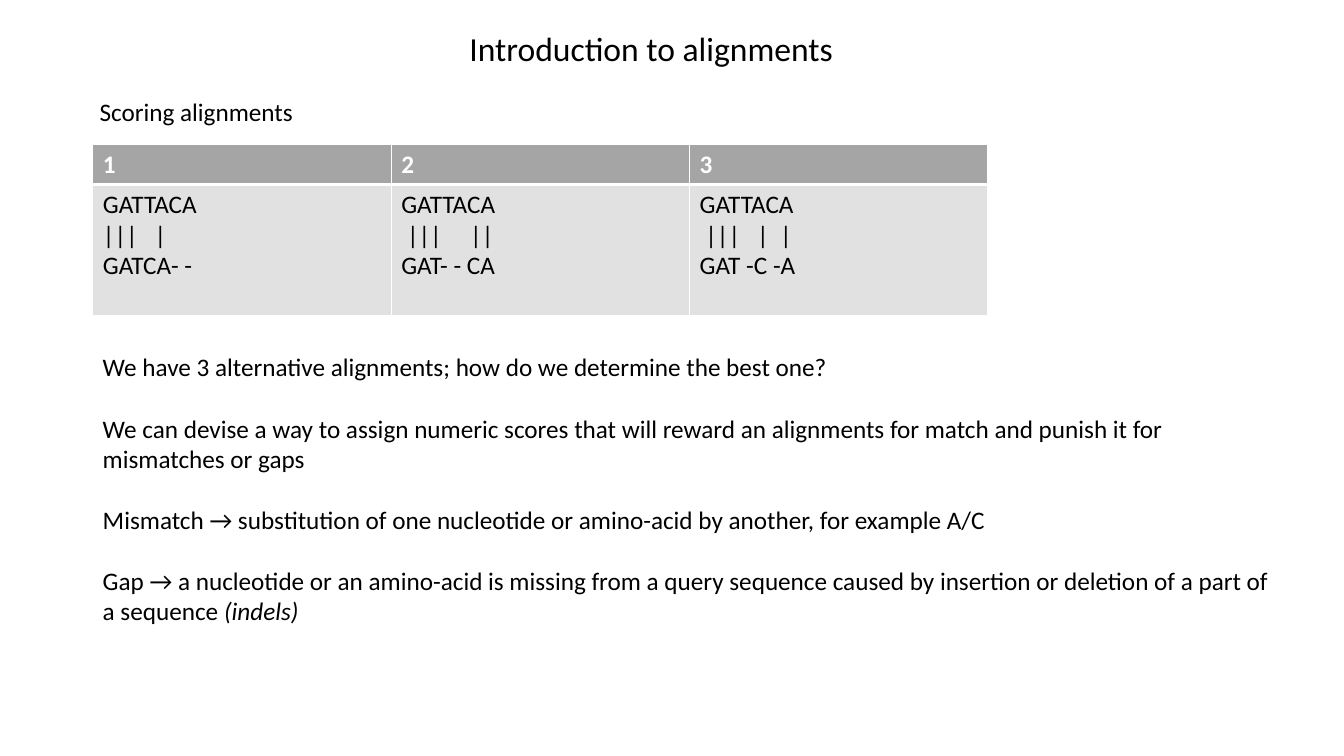
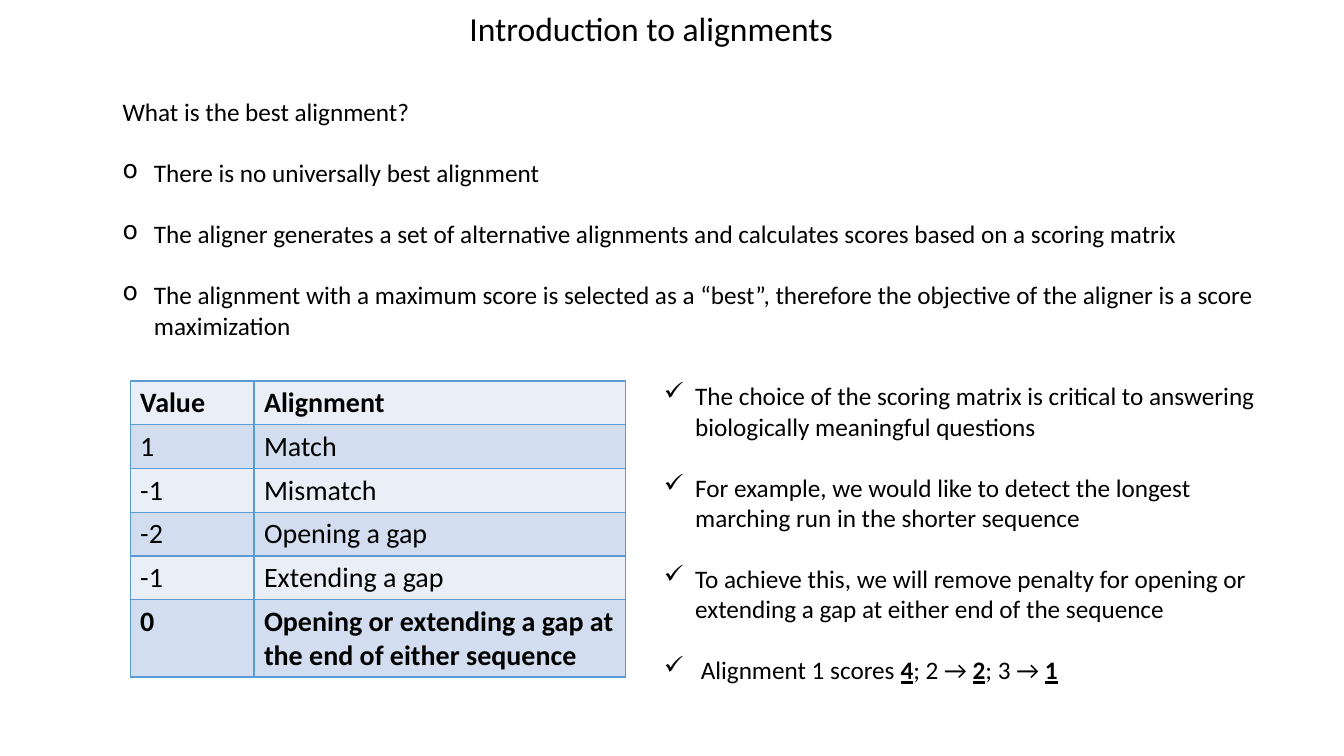
import pptx
import pptx.dml.color
import pptx.util
import lxml.etree
from pptx.oxml import ns
from pptx.util import Cm

FONT = "Calibri"
BLACK, WHITE = "000000", "FFFFFF"
HEADER_GREY, BODY_GREY = "A5A5A5", "E1E1E1"
BAND_LIGHT, BAND_DARK, GRID_BLUE = "EAEFF7", "D2DEEF", "5B9BD5"
TITLE = "Introduction to alignments"
TITLE_SIZE, BODY_SIZE, SCORE_SIZE = 24, 18, 20
LINE_GAP = 22
INDENT = 0.79

ALIGNMENTS = [
    ["1", "2", "3"],
    [
        "GATTACA\n|||   |\nGATCA- -",
        "GATTACA\n |||     ||\nGAT- - CA",
        "GATTACA\n |||   |  |\nGAT -C -A",
    ],
]
SCORING_HEADING = [[("Scoring alignments", "")]]
SCORING_NOTES = [
    [("We have 3 alternative alignments; how do we determine the best one?", "")],
    [("We can devise a way to assign numeric scores that will reward an alignments "
      "for match and punish it for mismatches or gaps", "")],
    [("Mismatch → substitution of one nucleotide or amino-acid by another, "
      "for example A/C", "")],
    [("Gap → a nucleotide or an amino-acid is missing from a query sequence caused by "
      "insertion or deletion of a part of a sequence ", ""), ("(indels)", "i")],
]

BEST_HEADING = [[("What is the best alignment?", "")]]
BEST_POINTS = [
    [("There is no universally best alignment", "")],
    [("The aligner generates a set of alternative alignments and calculates scores "
      "based on a scoring matrix", "")],
    [("The alignment with a maximum score is selected as a “best”, therefore the "
      "objective of the aligner is a score maximization", "")],
]
MATRIX_POINTS = [
    [("The choice of the scoring matrix is critical to answering biologically "
      "meaningful questions", "")],
    [("For example, we would like to detect the longest marching run in the shorter "
      "sequence", "")],
    [("To achieve this, we will remove penalty for opening or extending a gap at "
      "either end of the sequence", "")],
    [(" Alignment 1 scores ", ""), ("4", "bu"), ("; 2 → ", ""), ("2", "bu"),
     ("; 3 → ", ""), ("1", "bu")],
]
SCORES = [
    ["Value", "Alignment"],
    ["1", "Match"],
    ["-1", "Mismatch"],
    ["-2", "Opening a gap"],
    ["-1", "Extending a gap"],
    ["0", "Opening or extending a gap at the end of either sequence"],
]


def color(value):
    return pptx.dml.color.RGBColor.from_string(value)


def format_run(run, size, fill=BLACK, style=""):
    font = run.font
    font.name = FONT
    font.size = pptx.util.Pt(size)
    font.color.rgb = color(fill)
    font.bold = "b" in style
    font.italic = "i" in style
    font.underline = "u" in style


def add_bullet(paragraph, mark):
    properties = paragraph._p.get_or_add_pPr()
    properties.set("marL", str(Cm(INDENT)))
    properties.set("indent", str(-Cm(INDENT)))
    bullet = lxml.etree.SubElement(properties, ns.qn("a:buChar"))
    bullet.set("char", mark)


def add_text(slide, left, top, width, height, paragraphs, size=BODY_SIZE, marks=None):
    frame = slide.shapes.add_textbox(Cm(left), Cm(top), Cm(width), Cm(height)).text_frame
    frame.word_wrap = True
    for index, pieces in enumerate(paragraphs):
        paragraph = frame.add_paragraph() if index else frame.paragraphs[0]
        if index < len(paragraphs) - 1:
            paragraph.space_after = pptx.util.Pt(LINE_GAP)
        if marks and marks[index]:
            add_bullet(paragraph, marks[index])
        for text, style in pieces:
            run = paragraph.add_run()
            run.text = text
            format_run(run, size, style=style)


def set_borders(cell, line_color, widths):
    properties = cell._tc.get_or_add_tcPr()
    for position, (edge, width) in enumerate(zip(("lnL", "lnR", "lnT", "lnB"), widths)):
        line = lxml.etree.Element(ns.qn("a:" + edge), w=str(pptx.util.Pt(width)))
        fill = lxml.etree.SubElement(line, ns.qn("a:solidFill"))
        lxml.etree.SubElement(fill, ns.qn("a:srgbClr"), val=line_color)
        properties.insert(position, line)


def add_table(slide, left, top, columns, heights, rows, row_styles, size, line_color):
    table = slide.shapes.add_table(
        len(rows), len(columns), Cm(left), Cm(top), Cm(sum(columns)), Cm(sum(heights))
    ).table
    table.first_row = False
    table.horz_banding = False
    for column, width in zip(table.columns, columns):
        column.width = Cm(width)
    for row, height, texts, row_style in zip(table.rows, heights, rows, row_styles):
        row.height = Cm(height)
        fill, text_color, style, widths = row_style
        for cell, text in zip(row.cells, texts):
            cell.text_frame.text = text
            for paragraph in cell.text_frame.paragraphs:
                for run in paragraph.runs:
                    format_run(run, size, text_color, style)
            cell.fill.solid()
            cell.fill.fore_color.rgb = color(fill)
            set_borders(cell, line_color, widths)


def add_slide(presentation, title_top):
    slide = presentation.slides.add_slide(presentation.slide_layouts[6])
    add_text(slide, 11.58, title_top, 10, 2.06, [[(TITLE, "")]], TITLE_SIZE)
    return slide


def build_scoring_slide(presentation):
    slide = add_slide(presentation, 0.58)
    add_text(slide, 2.26, 2.31, 29.77, 1, SCORING_HEADING)
    row_styles = [
        (HEADER_GREY, WHITE, "b", (1, 1, 1, 3)),
        (BODY_GREY, BLACK, "", (1, 1, 3, 1)),
    ]
    add_table(slide, 2.34, 3.63, [7.52] * 3, [1, 3.3], ALIGNMENTS, row_styles,
              BODY_SIZE, WHITE)
    add_text(slide, 2.34, 8.74, 30.12, 7.19, SCORING_NOTES)


def build_best_slide(presentation):
    slide = add_slide(presentation, 0.08)
    add_text(slide, 2.84, 2.31, 29.77, 6.5, BEST_HEADING + BEST_POINTS,
             marks=[None] + ["o"] * len(BEST_POINTS))
    add_text(slide, 16.48, 9.47, 16.13, 8.5, MATRIX_POINTS,
             marks=["✓"] * len(MATRIX_POINTS))
    last = len(SCORES) - 1
    row_styles = [
        (BAND_DARK if index % 2 else BAND_LIGHT, BLACK,
         "b" if index in (0, last) else "", (1, 1, 1, 1))
        for index in range(len(SCORES))
    ]
    add_table(slide, 3.28, 9.6, [3.12, 9.37], [1.1] * last + [1.95], SCORES,
              row_styles, SCORE_SIZE, GRID_BLUE)


def main():
    presentation = pptx.Presentation()
    presentation.slide_width = Cm(33.87)
    presentation.slide_height = Cm(19.05)
    build_scoring_slide(presentation)
    build_best_slide(presentation)
    presentation.save("out.pptx")


if __name__ == "__main__":
    main()
